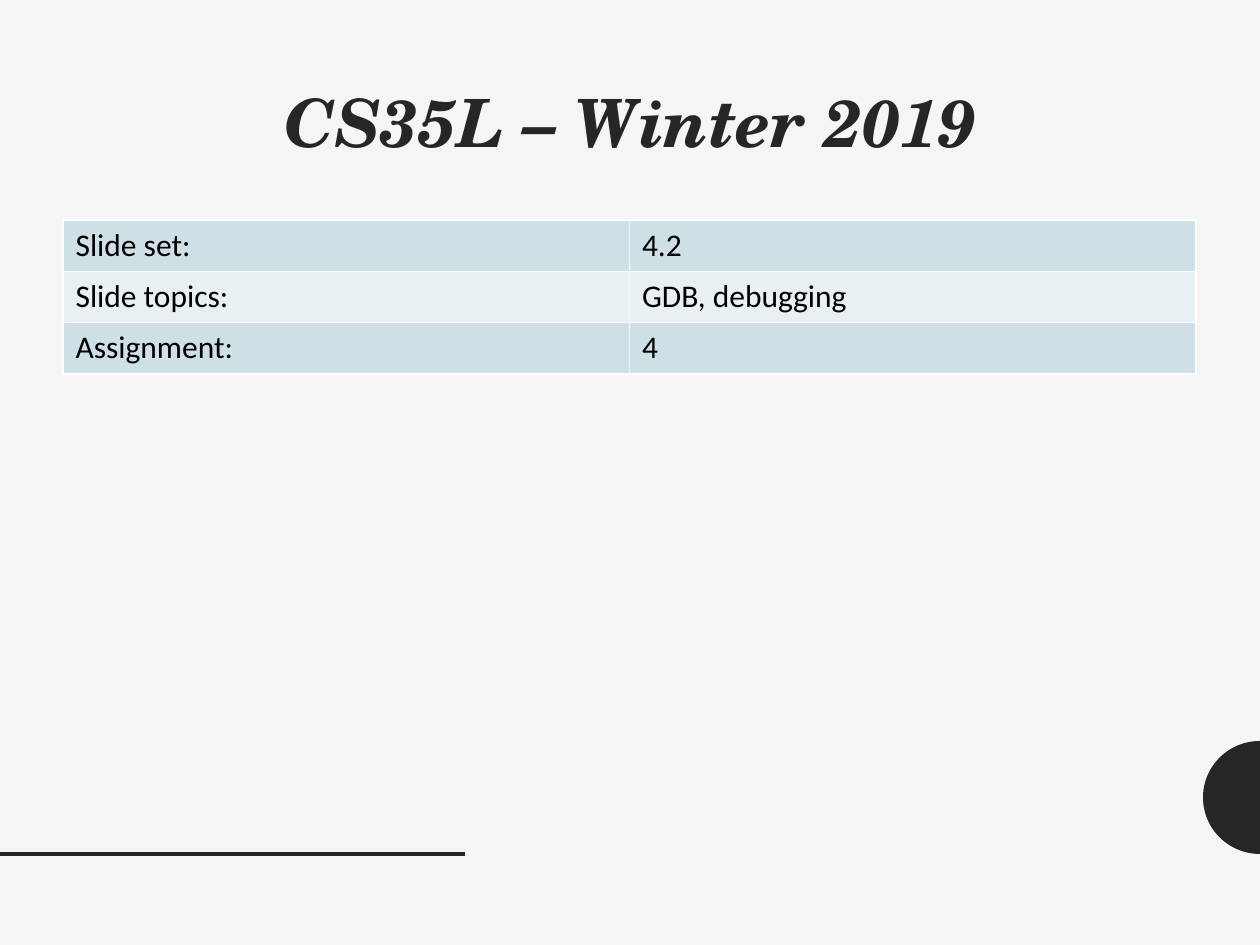
import math

from lxml import etree
from pptx import Presentation
from pptx.dml.color import RGBColor
from pptx.enum.shapes import MSO_CONNECTOR
from pptx.enum.text import MSO_ANCHOR, MSO_AUTO_SIZE, PP_ALIGN
from pptx.oxml import parse_xml
from pptx.oxml.ns import nsdecls, qn
from pptx.util import Emu, Pt

STRAIGHT = MSO_CONNECTOR.STRAIGHT
MIDDLE = MSO_ANCHOR.MIDDLE
NO_FIT = MSO_AUTO_SIZE.NONE
CENTER = PP_ALIGN.CENTER

PAPER = RGBColor(0xF5, 0xF5, 0xF5)
INK = RGBColor(0x26, 0x26, 0x26)
BLACK = RGBColor(0x00, 0x00, 0x00)
BANDS = (RGBColor(0xCF, 0xDF, 0xE6), RGBColor(0xE9, 0xF0, 0xF3))
BORDER = "FFFFFF"

TITLE_FONT = "TeX Gyre Schola"
BODY_FONT = "Calibri"
TITLE_ONLY = 5
ARC_STEPS = 48

ROWS = (
    ("Slide set:", "4.2"),
    ("Slide topics:", "GDB, debugging"),
    ("Assignment:", "4"),
)


def px(length):
    return Emu(round(length * 914400 / 126))


def add_half_disc(page, left, top, width, height):
    points = []
    for step in range(ARC_STEPS + 1):
        angle = math.pi * step / ARC_STEPS
        x = left + width * (1 - math.sin(angle))
        y = top + height * (1 - math.cos(angle)) / 2
        points.append((px(x), px(y)))
    builder = page.shapes.build_freeform(*points[0])
    builder.add_line_segments(points[1:], close=True)
    disc = builder.convert_to_shape()
    disc.shadow.inherit = False
    disc.fill.solid()
    disc.fill.fore_color.rgb = INK
    disc.line.fill.background()


def add_rule(page, left, top, width):
    rule = page.shapes.add_connector(
        STRAIGHT, px(left), px(top), px(left + width), px(top))
    rule.line.color.rgb = INK
    rule.line.width = Pt(2)
    etree.SubElement(rule._element.spPr, qn("a:effectLst"))


def place_title(page, text, left, top, width, height):
    title = page.shapes.title
    title.left, title.top = px(left), px(top)
    title.width, title.height = px(width), px(height)
    frame = title.text_frame
    frame.text = text
    frame.auto_size = NO_FIT
    frame.vertical_anchor = MIDDLE
    frame.margin_left = frame.margin_right = 0
    frame.margin_top = frame.margin_bottom = 0
    para = frame.paragraphs[0]
    para.alignment = CENTER
    para.line_spacing = 0.9
    para.font.name = TITLE_FONT
    para.font.size = Pt(38)
    para.font.bold = True
    para.font.italic = True
    para.font.color.rgb = INK


def add_borders(cell):
    properties = cell._tc.get_or_add_tcPr()
    for side in ("lnL", "lnR", "lnT", "lnB"):
        properties.append(parse_xml(
            f'<a:{side} {nsdecls("a")} w="{Pt(1)}"><a:solidFill>'
            f'<a:srgbClr val="{BORDER}"/></a:solidFill></a:{side}>'))


def add_details(page, rows, left, top, width, height):
    table = page.shapes.add_table(
        len(rows), len(rows[0]),
        px(left), px(top), px(width), px(height)).table
    table.first_row = False
    table.horz_banding = False
    for row_index, row in enumerate(rows):
        for column_index, text in enumerate(row):
            cell = table.cell(row_index, column_index)
            cell.text = text
            add_borders(cell)
            cell.fill.solid()
            cell.fill.fore_color.rgb = BANDS[row_index % 2]
            font = cell.text_frame.paragraphs[0].font
            font.name = BODY_FONT
            font.size = Pt(18)
            font.color.rgb = BLACK


def main():
    deck = Presentation()
    deck.slide_width, deck.slide_height = px(1260), px(945)
    page = deck.slides.add_slide(deck.slide_layouts[TITLE_ONLY])
    page.background.fill.solid()
    page.background.fill.fore_color.rgb = PAPER
    add_half_disc(page, 1203, 741, 57, 113)
    add_rule(page, 0, 854, 465)
    place_title(page, "CS35L – Winter 2019", 266, 84, 730, 84)
    add_details(page, ROWS, 63, 220, 1133, 154)
    deck.save("out.pptx")


if __name__ == "__main__":
    main()
